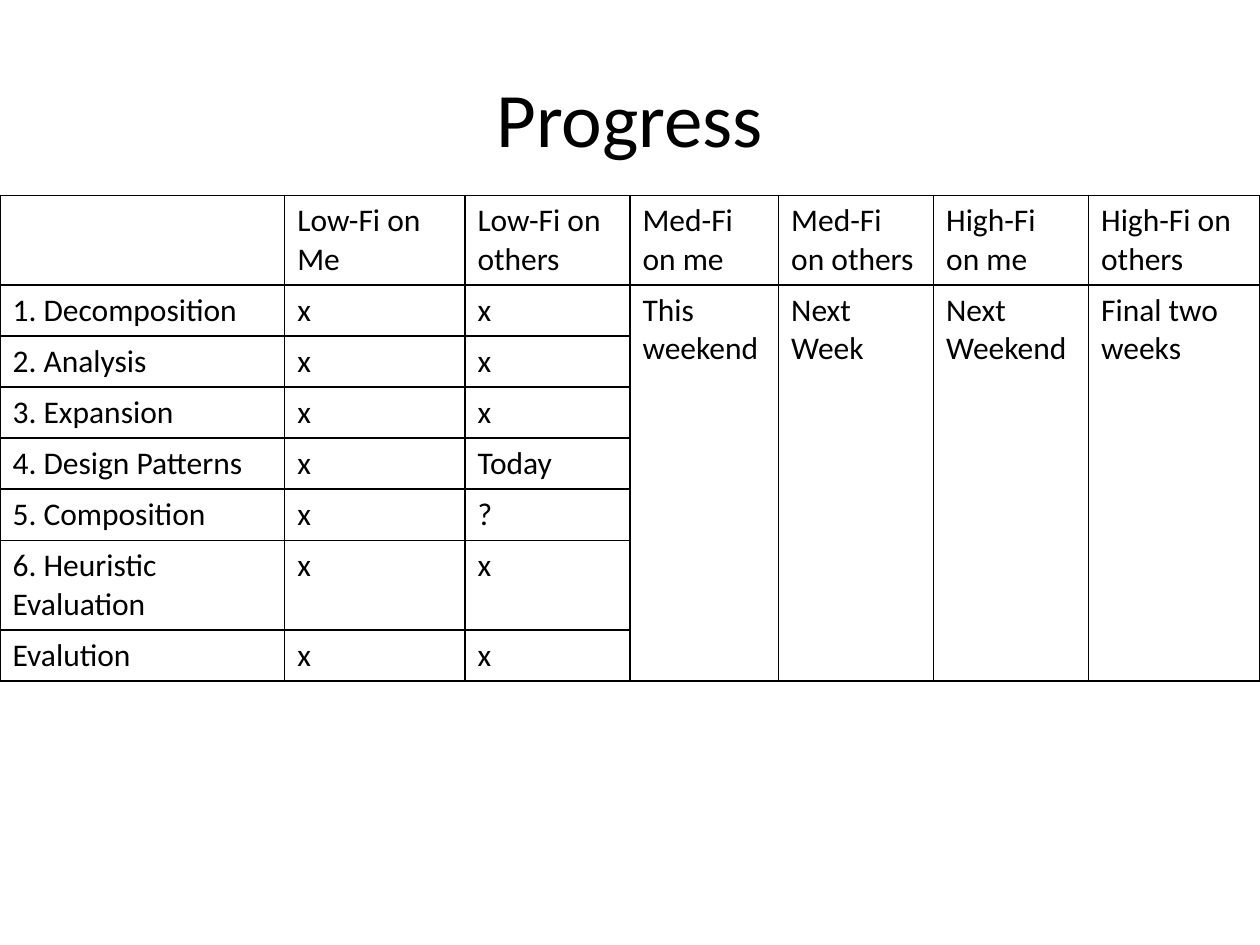
from lxml import etree
from pptx import Presentation
from pptx.dml.color import RGBColor
from pptx.enum.text import MSO_ANCHOR, PP_ALIGN
from pptx.oxml.ns import qn
from pptx.util import Pt

MIDDLE, TOP = MSO_ANCHOR.MIDDLE, MSO_ANCHOR.TOP
CENTER, LEFT = PP_ALIGN.CENTER, PP_ALIGN.LEFT
TITLE_ONLY = 5
BLACK, WHITE = "000000", "FFFFFF"
FONT = "Calibri"

COLUMN_WIDTHS = [162.72, 102.96, 94.32, 84.96, 88.56, 88.56, 97.92]
ROW_HEIGHT = 29.2
HEADINGS = ["", "Low-Fi on Me", "Low-Fi on\nothers", "Med-Fi on me",
            "Med-Fi on others", "High-Fi on me", "High-Fi on others"]
STEPS = [
    ("1. Decomposition", "x", "x"),
    ("2. Analysis", "x", "x"),
    ("3. Expansion", "x", "x"),
    ("4. Design Patterns", "x", "Today"),
    ("5. Composition", "x", "?"),
    ("6. Heuristic Evaluation", "x", "x"),
    ("Evalution", "x", "x"),
]
DEADLINES = ["This weekend", "Next Week", "Next Weekend", "Final two weeks"]


def rgb(color):
    """Turn a hex string into a colour."""
    return RGBColor.from_string(color)


def write(frame, text, size=18, color=BLACK, align=LEFT, anchor=TOP):
    """Fill a text frame, one paragraph for each line of text."""
    frame.text = text
    frame.word_wrap = True
    frame.vertical_anchor = anchor
    for paragraph in frame.paragraphs:
        paragraph.alignment = align
        paragraph.font.size = Pt(size)
        for run in paragraph.runs:
            run.font.size = Pt(size)
            run.font.name = FONT
            run.font.color.rgb = rgb(color)


def add_borders(cell, color=BLACK, width=1):
    """Draw a solid line on all four sides of a table cell."""
    properties = cell._tc.get_or_add_tcPr()
    for position, side in enumerate(("a:lnL", "a:lnR", "a:lnT", "a:lnB")):
        line = etree.Element(qn(side), w=str(Pt(width)))
        fill = etree.SubElement(line, qn("a:solidFill"))
        etree.SubElement(fill, qn("a:srgbClr"), val=color)
        properties.insert(position, line)


def add_title(slide, text):
    """Place and fill the slide title."""
    title = slide.shapes.title
    title.left, title.top, title.width, title.height = Pt(36), Pt(21.6), Pt(648), Pt(90)
    write(title.text_frame, text, size=44, align=CENTER, anchor=MIDDLE)


def add_progress_table(slide):
    """Add the progress grid with deadlines spanning all the steps."""
    rows = [HEADINGS] + [list(step) + [""] * len(DEADLINES) for step in STEPS]
    rows[1][-len(DEADLINES):] = DEADLINES
    progress = slide.shapes.add_table(
        len(rows), len(HEADINGS), Pt(0), Pt(111.6),
        Pt(sum(COLUMN_WIDTHS)), Pt(ROW_HEIGHT * len(rows))).table
    progress.first_row = progress.horz_banding = False
    for column, width in zip(progress.columns, COLUMN_WIDTHS):
        column.width = Pt(width)
    for row_index, labels in enumerate(rows):
        progress.rows[row_index].height = Pt(ROW_HEIGHT)
        for column_index, label in enumerate(labels):
            cell = progress.cell(row_index, column_index)
            write(cell.text_frame, label)
            cell.fill.background()
            add_borders(cell)
    for column_index in range(len(HEADINGS) - len(DEADLINES), len(HEADINGS)):
        progress.cell(1, column_index).merge(progress.cell(len(STEPS), column_index))


def main():
    """Build and save the progress slide."""
    deck = Presentation()
    deck.slide_width, deck.slide_height = Pt(720), Pt(540)
    slide = deck.slides.add_slide(deck.slide_layouts[TITLE_ONLY])
    slide.background.fill.solid()
    slide.background.fill.fore_color.rgb = rgb(WHITE)
    add_title(slide, "Progress")
    add_progress_table(slide)
    deck.save("out.pptx")


main()
